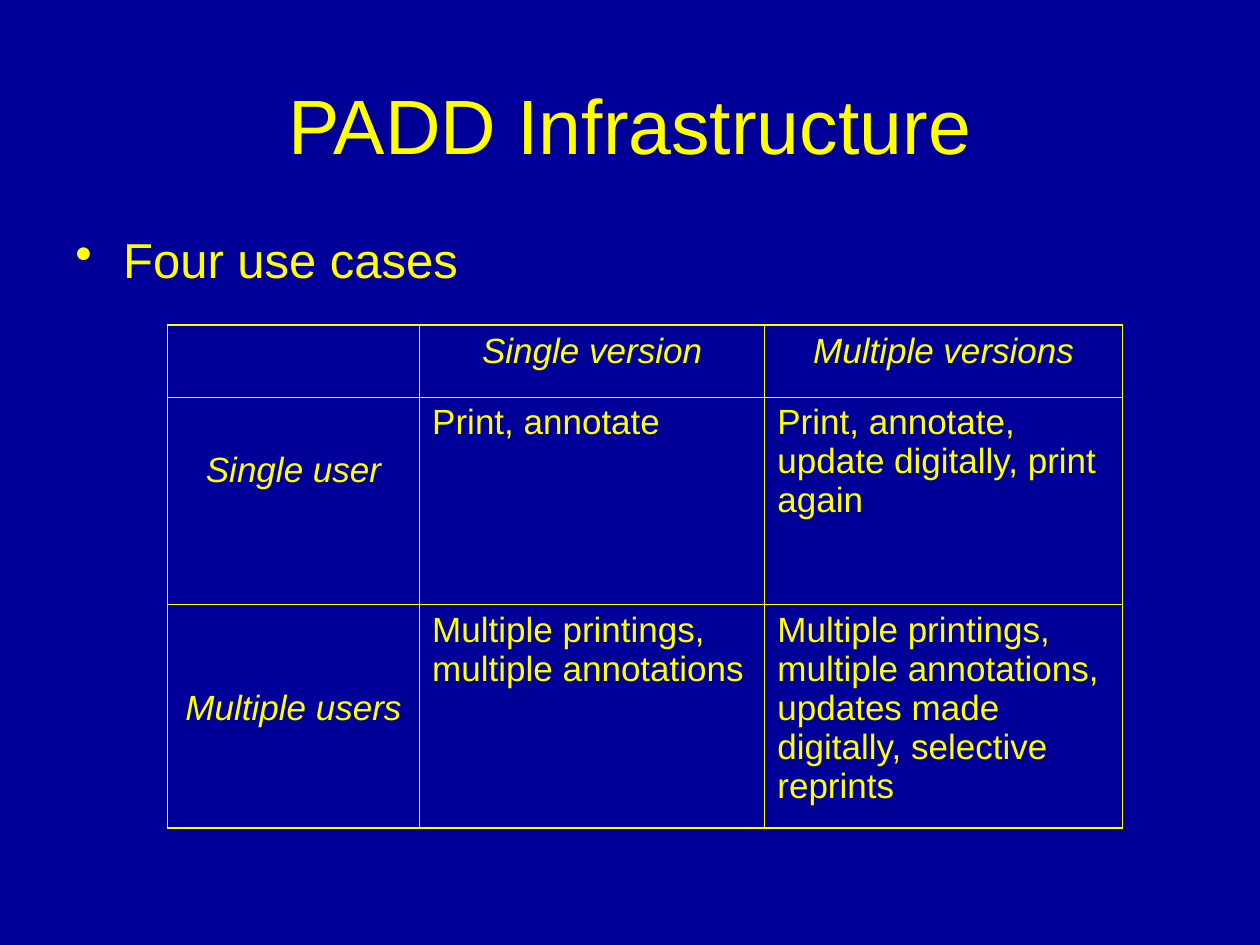
from dataclasses import dataclass

from lxml.etree import SubElement
from pptx import Presentation
from pptx.dml.color import RGBColor
from pptx.enum.text import MSO_ANCHOR as Anchor, PP_ALIGN as Align
from pptx.oxml.ns import qn
from pptx.util import Inches, Pt

COLORS = {"background": "000099", "ink": "FFFF00"}
FONT = "Arial"
WIDTH, HEIGHT = Inches(10), Inches(7.5)
COLUMNS = [2, 2.74, 2.84]
ROWS = [0.57, 1.65, 1.77]
OUTER, INNER = 1.08, 0.45


@dataclass
class UseCase:
    text: str
    heading: bool = False
    drop: float = 0  # extra inches above the text


GRID = [
    [UseCase(""), UseCase("Single version", True), UseCase("Multiple versions", True)],
    [UseCase("Single user", True, 0.38), UseCase("Print, annotate"),
     UseCase("Print, annotate, update digitally, print again")],
    [UseCase("Multiple users", True, 0.62),
     UseCase("Multiple printings, multiple annotations"),
     UseCase("Multiple printings, multiple annotations, updates made digitally, "
             "selective reprints")],
]


def style(paragraph, size: float, italic: bool = False) -> None:
    for run in paragraph.runs:
        run.font.name = FONT
        run.font.size = Pt(size)
        run.font.italic = italic
        run.font.color.rgb = RGBColor.from_string(COLORS["ink"])


def add_text(slide, text: str, left: float, top: float, width: float, height: float,
             size: float, inset_top: float):
    """Add a text box placed by shares of the slide's size."""
    box = slide.shapes.add_textbox(int(WIDTH * left), int(HEIGHT * top),
                                   int(WIDTH * width), int(HEIGHT * height))
    frame = box.text_frame
    frame.word_wrap = True
    frame.margin_top = Inches(inset_top)
    frame.text = text
    style(frame.paragraphs[0], size)
    return frame


def add_bullet(paragraph, indent: float) -> None:
    props = paragraph._p.get_or_add_pPr()
    props.set("marL", str(Inches(indent)))
    props.set("indent", str(-Inches(indent)))
    SubElement(props, qn("a:buChar"), char="•")


def add_border(cell, side: str, points: float) -> None:
    line = SubElement(cell._tc.get_or_add_tcPr(), qn(f"a:ln{side}"), w=str(Pt(points)))
    fill = SubElement(line, qn("a:solidFill"))
    SubElement(fill, qn("a:srgbClr"), val=COLORS["ink"])


def fill_cell(cell, case: UseCase, row: int, column: int) -> None:
    on_edge = {"L": column == 0, "R": column == len(COLUMNS) - 1,
               "T": row == 0, "B": row == len(ROWS) - 1}
    for side, outer in on_edge.items():
        add_border(cell, side, OUTER if outer else INNER)
    cell.fill.background()
    cell.margin_top = Inches(0.05 + case.drop)
    cell.text = case.text
    paragraph = cell.text_frame.paragraphs[0]
    paragraph.alignment = Align.CENTER if case.heading else Align.LEFT
    style(paragraph, 20, case.heading)


def add_use_cases(slide) -> None:
    table = slide.shapes.add_table(len(ROWS), len(COLUMNS), Inches(1.33), Inches(2.58),
                                   Inches(sum(COLUMNS)), Inches(sum(ROWS))).table
    table.first_row = table.horz_banding = False
    for column, width in zip(table.columns, COLUMNS):
        column.width = Inches(width)
    for row, height in zip(table.rows, ROWS):
        row.height = Inches(height)
    for r, cases in enumerate(GRID):
        for c, case in enumerate(cases):
            fill_cell(table.cell(r, c), case, r, c)


def main() -> None:
    deck = Presentation()
    deck.slide_width, deck.slide_height = WIDTH, HEIGHT
    slide = deck.slides.add_slide(deck.slide_layouts[6])
    slide.background.fill.solid()
    slide.background.fill.fore_color.rgb = RGBColor.from_string(COLORS["background"])

    # Title
    title = add_text(slide, "PADD Infrastructure", 0.05, 0.04, 0.9, 0.17, 44, 0.13)
    title.vertical_anchor = Anchor.MIDDLE
    title.paragraphs[0].alignment = Align.CENTER

    # Bullet above the table
    lead = add_text(slide, "Four use cases", 0.05, 0.23, 0.44, 0.66, 28, 0.1)
    add_bullet(lead.paragraphs[0], 0.38)

    # Users by versions
    add_use_cases(slide)
    deck.save("out.pptx")


if __name__ == "__main__":
    main()
